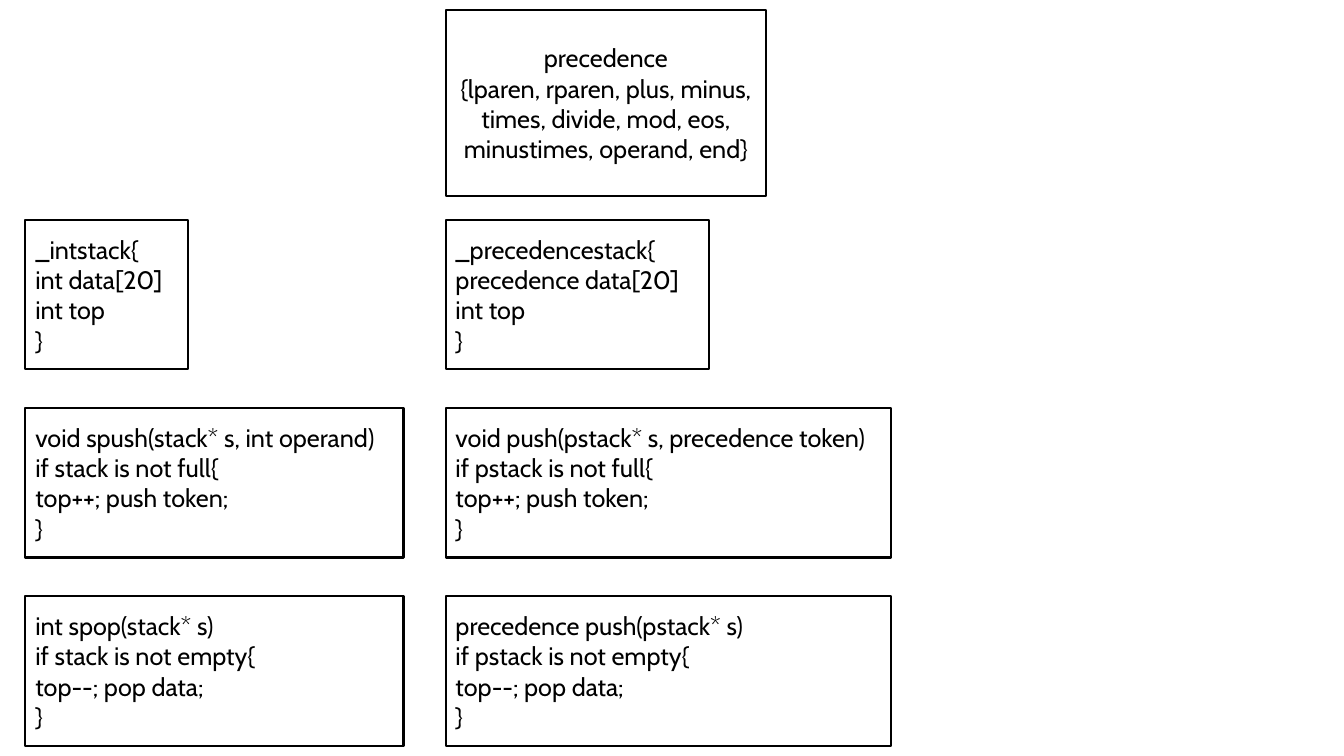
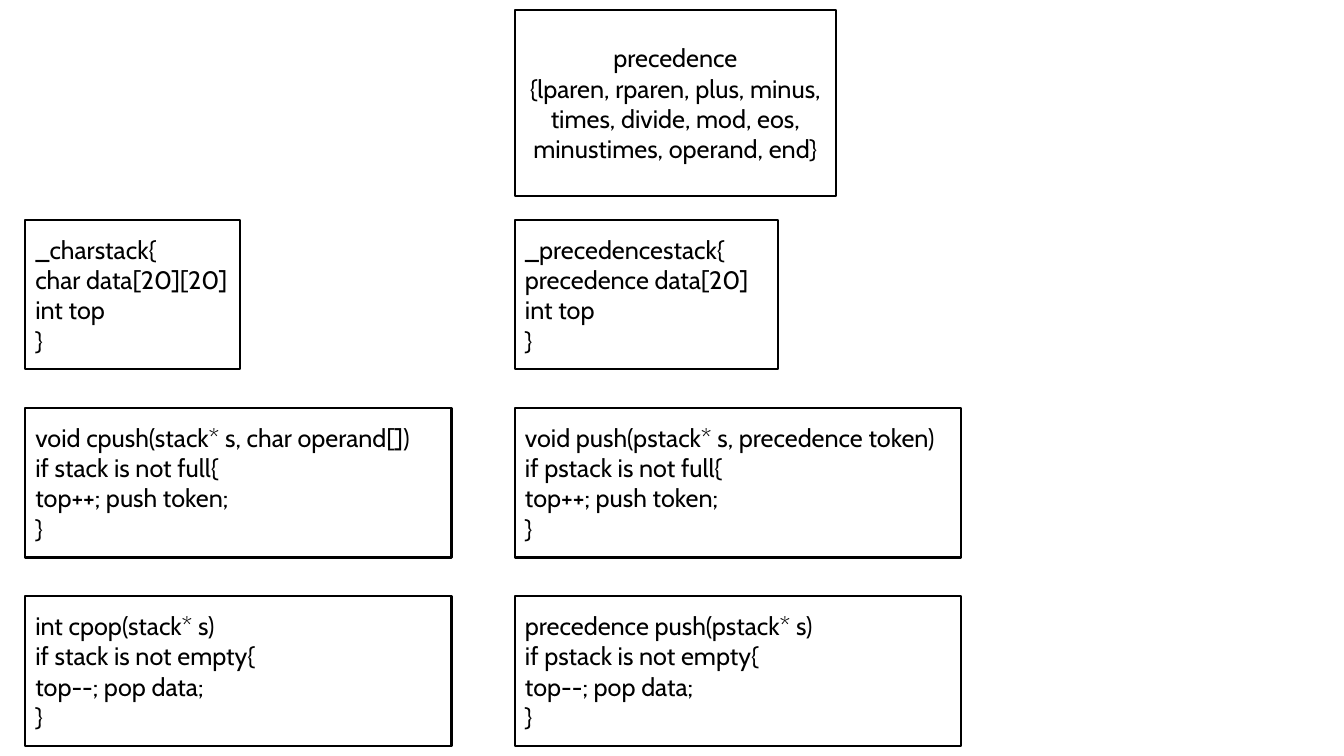
from pptx import Presentation
from pptx.dml.color import RGBColor
from pptx.enum.shapes import MSO_SHAPE as Shape
from pptx.enum.text import MSO_ANCHOR as Anchor, PP_ALIGN as Align
from pptx.util import Cm, Pt

BLACK = RGBColor(0x00, 0x00, 0x00)
WHITE = RGBColor(0xFF, 0xFF, 0xFF)
FONT = "Cabin"
BLANK_LAYOUT = 6

LEFT_COLUMN = 0.64
ENUM_TOP = 0.25
FIRST_ROW = 5.54
ROW_PITCH = 4.74
ROW_HEIGHT = 3.77

ENUM_LINES = [
    "precedence",
    "{lparen, rparen, plus, minus, times, divide, mod, eos, minustimes, operand, end}",
]


def write_lines(frame, lines, size=18, color=BLACK, align=Align.LEFT):
    for index, line in enumerate(lines):
        para = frame.paragraphs[0] if index == 0 else frame.add_paragraph()
        para.alignment = align
        span = para.add_run()
        span.text = line
        span.font.name = FONT
        span.font.size = Pt(size)
        span.font.color.rgb = color


class DiagramDeck:
    def __init__(self):
        self.deck = Presentation()
        self.deck.slide_width = Cm(33.87)
        self.deck.slide_height = Cm(19.05)
        self.page = None

    def add_page(self):
        layout = self.deck.slide_layouts[BLANK_LAYOUT]
        self.page = self.deck.slides.add_slide(layout)

    def add_box(self, left, top, width, height, lines, align=Align.LEFT):
        box = self.page.shapes.add_shape(
            Shape.FLOWCHART_PROCESS, Cm(left), Cm(top), Cm(width), Cm(height)
        )
        box.shadow.inherit = False
        box.fill.solid()
        box.fill.fore_color.rgb = WHITE
        box.line.color.rgb = BLACK
        box.line.width = Pt(1.5)
        frame = box.text_frame
        frame.word_wrap = True
        frame.vertical_anchor = Anchor.MIDDLE
        write_lines(frame, lines, align=align)

    def add_enum(self, left):
        self.add_box(left, ENUM_TOP, 8.08, 4.7, ENUM_LINES, align=Align.CENTER)

    def add_stack(self, left, struct_width, function_width, name, struct, field, push, pop):
        rows = [
            (struct_width, [struct + "{", field, "int top", "}"]),
            (function_width, [push, f"if {name} is not full{{", "top++; push token;", "}"]),
            (function_width, [pop, f"if {name} is not empty{{", "top--; pop data;", "}"]),
        ]
        for index, (width, lines) in enumerate(rows):
            self.add_box(left, FIRST_ROW + index * ROW_PITCH, width, ROW_HEIGHT, lines)

    def add_stack_page(self, token_column, struct_width, function_width, **operand_text):
        self.add_page()
        self.add_enum(token_column)
        self.add_stack(LEFT_COLUMN, struct_width, function_width, "stack", **operand_text)
        self.add_stack(
            token_column, 6.63, 11.23, "pstack",
            struct="_precedencestack",
            field="precedence data[20]",
            push="void push(pstack* s, precedence token)",
            pop="precedence push(pstack* s)",
        )


def main():
    diagrams = DiagramDeck()
    diagrams.add_stack_page(
        11.23, 4.11, 9.53,
        struct="_intstack",
        field="int data[20]",
        push="void spush(stack* s, int operand)",
        pop="int spop(stack* s)",
    )
    diagrams.add_stack_page(
        12.98, 5.42, 10.74,
        struct="_charstack",
        field="char data[20][20]",
        push="void cpush(stack* s, char operand[])",
        pop="int cpop(stack* s)",
    )
    diagrams.deck.save("out.pptx")


if __name__ == "__main__":
    main()
